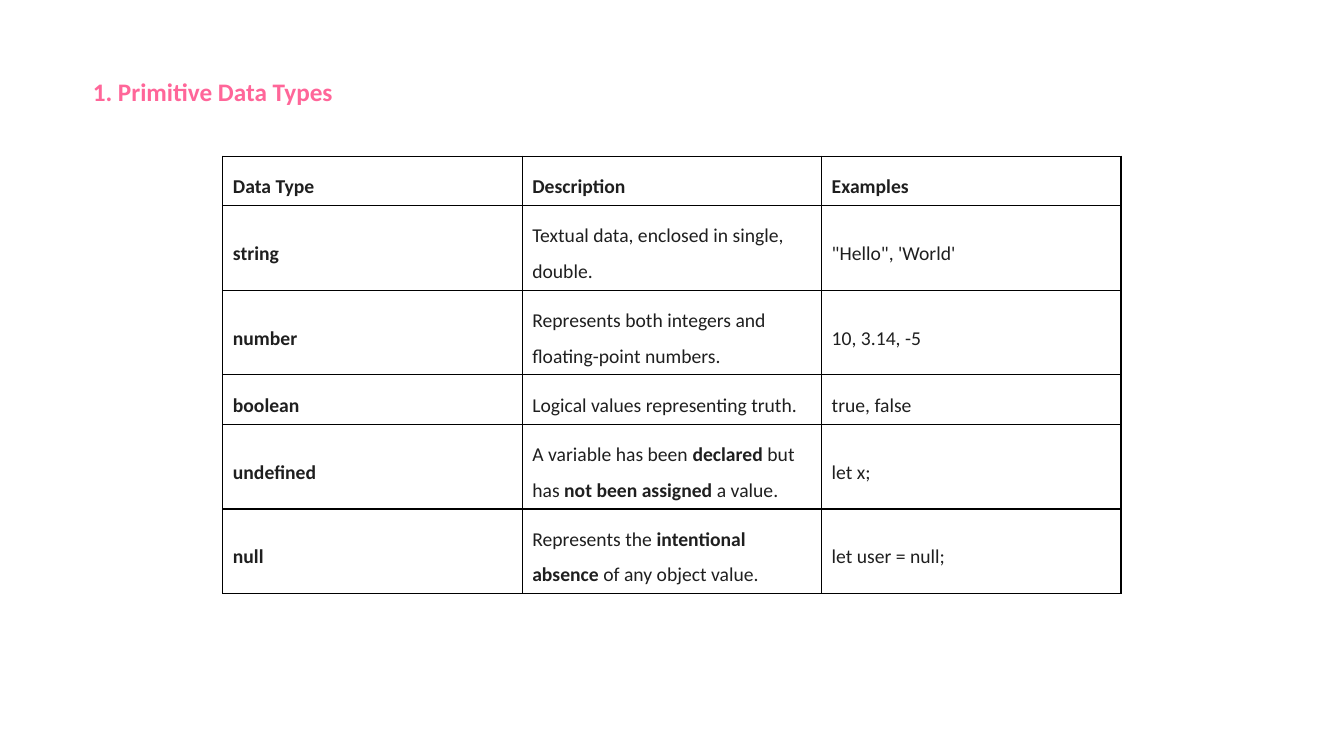
import pptx
import pptx.dml.color
import pptx.enum.text
import pptx.oxml
import pptx.oxml.ns
import pptx.util

Inches, Pt = pptx.util.Inches, pptx.util.Pt
RGBColor = pptx.dml.color.RGBColor
MSO_ANCHOR = pptx.enum.text.MSO_ANCHOR

PINK = RGBColor(0xFF, 0x66, 0x99)
INK = RGBColor(0x1F, 0x1F, 0x1F)
BLACK = RGBColor(0x00, 0x00, 0x00)
FONT = "Calibri"
COL_WIDTH = 2.97
LINE_HEIGHT = 0.35
ROW_PADDING = 0.14

TYPES = [
    (1, "**Data Type**", "**Description**", "**Examples**"),
    (2, "**string**", "Textual data, enclosed in single, double.", "\"Hello\", 'World'"),
    (2, "**number**", "Represents both integers and floating-point numbers.", "10, 3.14, -5"),
    (1, "**boolean**", "Logical values representing truth.", "true, false"),
    (2, "**undefined**", "A variable has been **declared** but has **not been assigned** a value.", "let x;"),
    (2, "**null**", "Represents the **intentional absence** of any object value.", "let user = null;"),
]


def add_runs(tf, text, size, color):
    """Write text run by run, with bold between double asterisks."""
    p = tf.paragraphs[0]
    p.alignment = pptx.enum.text.PP_ALIGN.LEFT
    p.line_spacing = 1.5
    for i, part in enumerate(text.split("**")):
        if part:
            r = p.add_run()
            r.text = part
            r.font.name = FONT
            r.font.size = Pt(size)
            r.font.bold = i % 2 == 1
            r.font.color.rgb = color


def set_borders(cell):
    """Draw a one-point line on every side of a cell."""
    tcPr = cell._tc.get_or_add_tcPr()
    for side in ("lnL", "lnR", "lnT", "lnB"):
        tcPr.append(pptx.oxml.parse_xml(
            f'<a:{side} {pptx.oxml.ns.nsdecls("a")} w="{Pt(1)}"><a:solidFill>'
            f'<a:srgbClr val="{BLACK}"/></a:solidFill></a:{side}>'))


def fill_cell(cell, text):
    """Format one table cell and write its text."""
    cell.vertical_anchor = MSO_ANCHOR.MIDDLE
    cell.margin_left = cell.margin_right = Inches(0.1)
    cell.margin_top = cell.margin_bottom = Inches(0.06)
    set_borders(cell)
    cell.fill.background()
    add_runs(cell.text_frame, text, 14, INK)


def add_type_table(slide, left, top):
    """Add the table of data types, with rows as tall as their lines."""
    heights = [lines * LINE_HEIGHT + ROW_PADDING for lines, *_ in TYPES]
    sp = slide.shapes.add_table(len(TYPES), 3, left, top,
                                Inches(3 * COL_WIDTH), Inches(sum(heights)))
    table = sp.table
    table.first_row = table.horz_banding = False
    for col in table.columns:
        col.width = Inches(COL_WIDTH)
    for row, height, (_, *texts) in zip(table.rows, heights, TYPES):
        row.height = Inches(height)
        for cell, text in zip(row.cells, texts):
            fill_cell(cell, text)


def set_title(slide, text):
    """Place and format the slide title."""
    sp = slide.shapes.title
    sp.left, sp.top = Inches(0.82), Inches(0.56)
    sp.width, sp.height = Inches(6.67), Inches(0.51)
    tf = sp.text_frame
    tf.word_wrap = True
    tf.auto_size = pptx.enum.text.MSO_AUTO_SIZE.SHAPE_TO_FIT_TEXT
    tf.vertical_anchor = MSO_ANCHOR.TOP
    add_runs(tf, text, 18, PINK)


def main():
    """Build the slide and save it."""
    prs = pptx.Presentation()
    prs.slide_width, prs.slide_height = Inches(13.33), Inches(7.5)
    slide = prs.slides.add_slide(prs.slide_layouts[5])
    set_title(slide, "**1. Primitive Data Types**")
    add_type_table(slide, Inches(2.21), Inches(1.55))
    prs.save("out.pptx")


if __name__ == "__main__":
    main()
